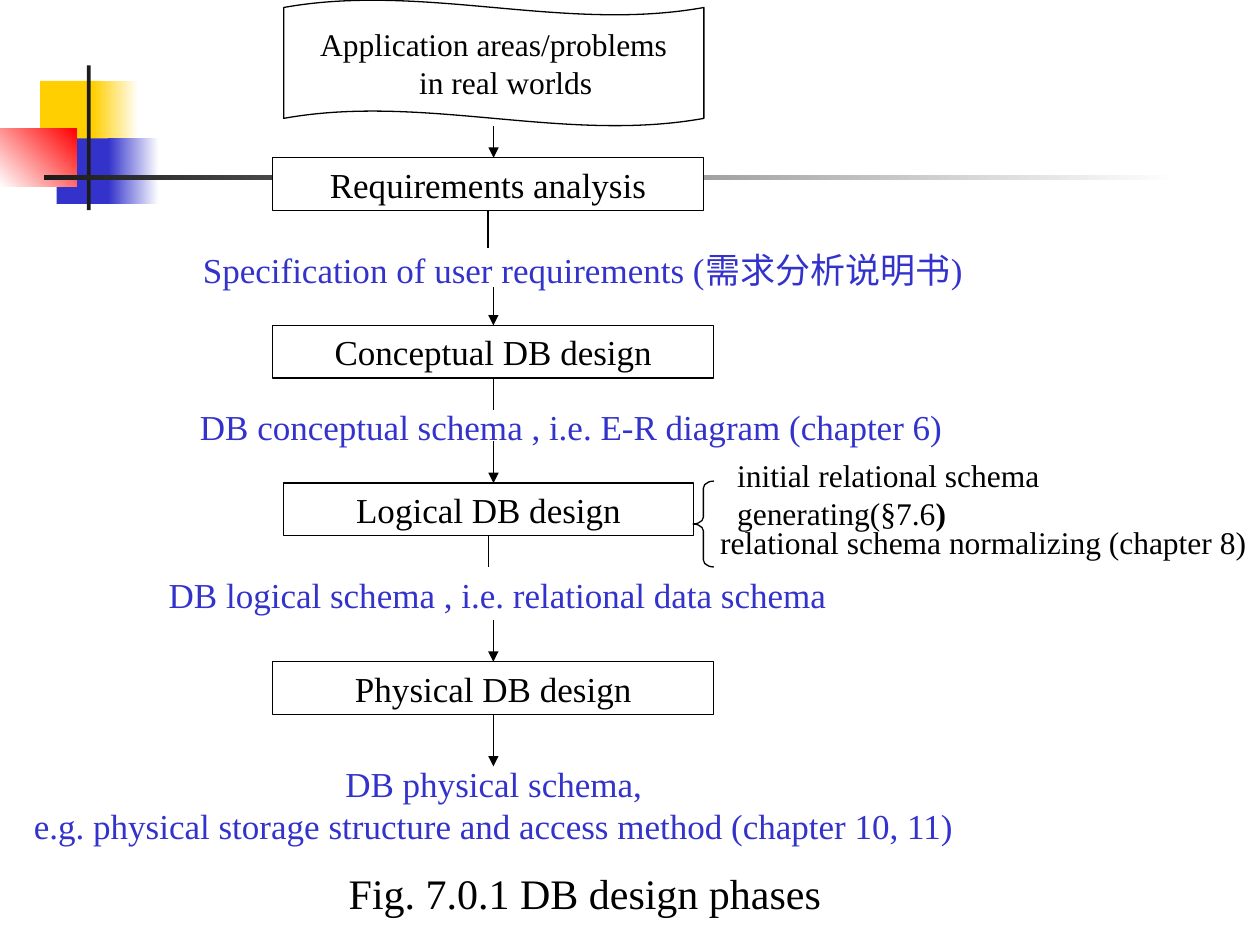
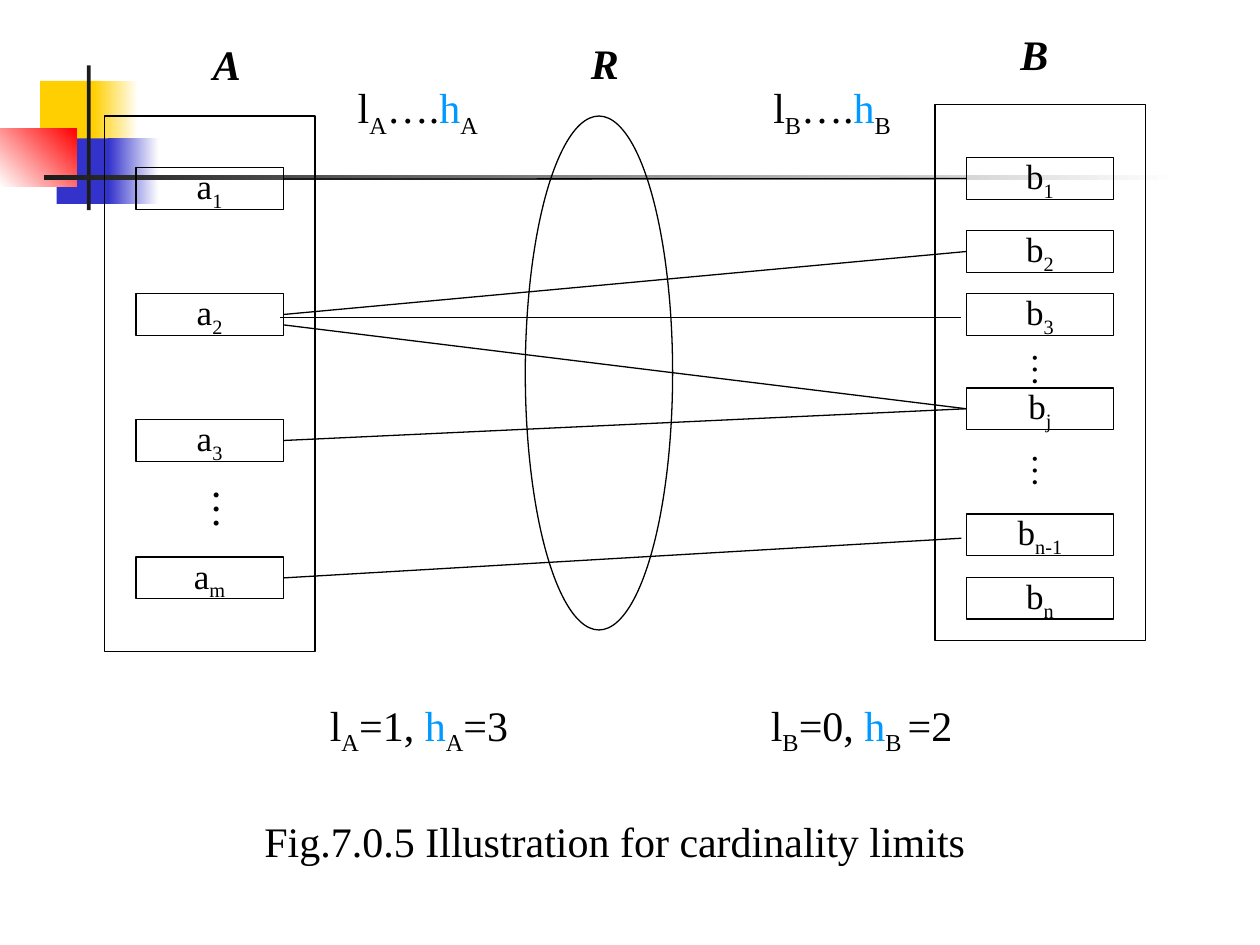
from pptx import Presentation
from pptx.dml.color import RGBColor
from pptx.enum.shapes import MSO_CONNECTOR, MSO_SHAPE
from pptx.enum.text import MSO_ANCHOR, MSO_AUTO_SIZE, PP_ALIGN
from pptx.oxml.ns import qn
from pptx.util import Cm, Pt
from lxml import etree

RECT, OVAL = MSO_SHAPE.RECTANGLE, MSO_SHAPE.OVAL
WAVE, BRACE = MSO_SHAPE.WAVE, MSO_SHAPE.LEFT_BRACE
LEFT, MID = PP_ALIGN.LEFT, PP_ALIGN.CENTER
TOP, CORE = MSO_ANCHOR.TOP, MSO_ANCHOR.MIDDLE
FIT = MSO_AUTO_SIZE.SHAPE_TO_FIT_TEXT
LINE = MSO_CONNECTOR.STRAIGHT

FONT = "Times New Roman"
BLACK, WHITE, BLUE, SKY = "000000", "FFFFFF", "3333CC", "0099FF"
GOLD, RED, INK = "FFCF01", "FF0000", "1C1C1C"
SUB = {"sub": True}
HIGH = {"color": SKY}
HEAD = {"bold": True, "italic": True}

DECOR = [
    ((0.81, 1.63, 1.22, 1.32), [GOLD], 0),
    ((1.88, 1.63, 0.91, 1.32), [GOLD, WHITE], 0),
    ((1.14, 2.79, 1.17, 1.32), [BLUE], 0),
    ((2.18, 2.79, 1.02, 1.32), [BLUE, WHITE], 0),
    ((0, 2.59, 1.55, 1.17), [WHITE, RED], 45),
    ((1.75, 1.32, 0.08, 2.92), [INK], 0),
    ((0.89, 3.53, 22.86, 0.1), [INK, WHITE], 0),
]

AXIS = 9.95
STAGE = 1.06
AREA = (5.72, 0, 8.47, 2.54)
PROBLEM = ["Application areas/problems", "in real worlds"]
STAGES = [
    ("Requirements analysis", 5.5, 3.18, 8.68, 0.64, 0.76),
    ("Conceptual DB design", 5.5, 6.56, 8.89, 0.77, 0.64),
    ("Logical DB design", 5.72, 9.74, 8.26, 0.85, 0.63),
    ("Physical DB design", 5.5, 13.34, 8.89, 0.84, 1.05),
]
RESULTS = [
    (["Specification of user requirements (需求分析说明书)"],
     (3.84, 4.88, 16.6, 1.12), LEFT),
    (["DB conceptual schema , i.e. E-R diagram (chapter 6)"],
     (3.78, 8.05, 15.8, 1.12), LEFT),
    (["DB logical schema , i.e. relational data schema"],
     (3.15, 11.43, 14.1, 1.12), LEFT),
    (["DB physical schema,",
      "e.g. physical storage structure and access method (chapter 10, 11)"],
     (0.33, 15.24, 19.25, 1.96), MID),
]
FORK = (13.97, 9.7, 0.42, 1.73)
STEPS = [
    ([("initial relational schema generating(§7.6", {}), (")", {"bold": True})],
     (14.61, 9.07, 10.9, 1.02)),
    ("relational schema normalizing (chapter 8)", (14.27, 10.41, 11.2, 1.02)),
]
PHASES = ("Fig. 7.0.1 DB design phases", (6.78, 17.37, 10.4, 1.27))

CELL = (2.97, 0.84)
SETS = [
    ("a", (2.11, 2.34, 4.24, 10.8), 2.74,
     {"1": 3.38, "2": 5.92, "3": 8.46, "m": 11.23}),
    ("b", (18.85, 2.11, 4.24, 10.8), 19.48,
     {"1": 3.18, "2": 4.65, "3": 5.92, "j": 7.82, "n-1": 10.36, "n": 11.64}),
]
RING = (10.59, 2.34, 2.97, 10.36)
LINKS = [
    ((5.72, 3.61), "b1"),
    ("a2", "b2"),
    ((5.64, 6.4), (19.38, 6.4)),
    ((5.72, 6.55), "bj"),
    ("a3", "bj"),
    ("am", (19.38, 10.85)),
]
HEADS = [("A", 4.04, 0.66), ("R", 11.66, 0.64), ("B", 20.32, 0.46)]
DOTS = [
    ((20.32, 6.86, 1.35, 0.97), 20),
    ((20.32, 8.89, 1.35, 0.97), 20),
    ((3.78, 9.6, 1.52, 1.12), 24),
]
LIMITS = [
    ("A", "A", "….", "", 6.96, 1.52),
    ("B", "B", "….", "", 15.34, 1.52),
    ("A", "A", "=1, ", "=3", 6.4, 13.97),
    ("B", "B ", "=0, ", "=2", 15.29, 13.97),
]
CARDS = ("Fig.7.0.5 Illustration for cardinality limits", (5.08, 16.31, 15.44, 1.27))


def rgb(code):
    return RGBColor.from_string(code)


def put(item, **vals):
    for name, val in vals.items():
        setattr(item, name, val)


def paint(fill, tones, angle=0):
    if len(tones) == 1:
        fill.solid()
        fill.fore_color.rgb = rgb(tones[0])
        return
    fill.gradient()
    fill.gradient_angle = angle
    for stop, tone, spot in zip(fill.gradient_stops, tones, (0, 1)):
        stop.position = spot
        stop.color.rgb = rgb(tone)


def write(shape, paras, size, color=BLACK, align=MID, anchor=CORE, wrap=True):
    frame = shape.text_frame
    put(frame, word_wrap=wrap, vertical_anchor=anchor)
    for num, runs in enumerate(paras):
        para = frame.add_paragraph() if num else frame.paragraphs[0]
        para.alignment = align
        for text, look in [(runs, {})] if isinstance(runs, str) else runs:
            run = para.add_run()
            run.text = text
            put(run.font, name=FONT, size=Pt(size),
                bold=look.get("bold", False), italic=look.get("italic", False))
            run.font.color.rgb = rgb(look.get("color", color))
            if look.get("sub"):
                run._r.get_or_add_rPr().set("baseline", "-25000")
    return frame


def note(slide, paras, box, size, color=BLACK, align=LEFT, wrap=True):
    shape = slide.shapes.add_textbox(*map(Cm, box))
    write(shape, paras, size, color, align, TOP, wrap)
    return shape


def draw(slide, kind, box, fill=None):
    shape = slide.shapes.add_shape(kind, *map(Cm, box))
    shape.shadow.inherit = False
    if fill:
        paint(shape.fill, [fill])
    else:
        shape.fill.background()
    shape.line.color.rgb = rgb(BLACK)
    shape.line.width = Pt(0.75)
    return shape


def link(slide, start, end, head=None, tail=None, arrow=False):
    line = slide.shapes.add_connector(LINE, *map(Cm, start + end))
    line.line.color.rgb = rgb(BLACK)
    line.line.width = Pt(0.75)
    if head:
        line.begin_connect(*head)
    if tail:
        line.end_connect(*tail)
    if arrow:
        etree.SubElement(line.line._get_or_add_ln(), qn("a:tailEnd"), type="triangle")
    etree.SubElement(line.element.spPr, qn("a:effectLst"))


def adorn(layout, slide):
    tree = layout.shapes.element
    for hold in list(layout.placeholders):
        tree.remove(hold.element)
    for box, tones, angle in DECOR:
        shape = slide.shapes.add_shape(RECT, *map(Cm, box))
        shape.shadow.inherit = False
        shape.line.fill.background()
        paint(shape.fill, tones, angle)
        tree.append(shape.element)


def flow(slide):
    wave = draw(slide, WAVE, AREA)
    wave.adjustments[0] = 0.06
    frame = write(wave, PROBLEM, 18)
    frame.paragraphs[1]._p.get_or_add_pPr().set("marL", str(Cm(0.48)))
    for paras, box, align in RESULTS:
        note(slide, paras, box, 20, BLUE, align)
    for text, left, top, width, rise, drop in STAGES:
        box = draw(slide, RECT, (left, top, width, STAGE), WHITE)
        write(box, [text], 20)
        mid, base = left + width / 2, top + STAGE
        join = (box, 0) if abs(mid - AXIS) < 0.03 else None
        axis = mid if join else AXIS
        link(slide, (axis, top - rise), (axis, top), tail=join, arrow=True)
        link(slide, (mid, base), (mid, base + drop), head=(box, 2),
             arrow=text == STAGES[-1][0])
    fork = draw(slide, BRACE, FORK)
    fork.adjustments[0] = 0.33
    for runs, box in STEPS:
        note(slide, [runs], box, 18)
    note(slide, [PHASES[0]], PHASES[1], 24)


def cards(slide):
    cells = {}
    for name, frame, left, tops in SETS:
        draw(slide, RECT, frame)
        for mark, top in tops.items():
            cell = draw(slide, RECT, (left, top) + CELL)
            write(cell, [[(name, {}), (mark, SUB)]], 20)
            cells[name + mark] = cell
    draw(slide, OVAL, RING)
    for ends in LINKS:
        spots = [(0, 0) if end in cells else end for end in ends]
        joins = [(cells[end], site) if end in cells else None
                 for end, site in zip(ends, (3, 1))]
        link(slide, *spots, *joins)
    for text, left, top in HEADS:
        note(slide, [[(text, HEAD)]], (left, top, 1.3, 1.27), 24)
    for box, size in DOTS:
        dots = note(slide, ["…"], box, size, wrap=False)
        put(dots.text_frame, auto_size=FIT, margin_left=Cm(0.13),
            margin_right=Cm(0.13), margin_top=Cm(0.25), margin_bottom=Cm(0.25))
        dots.element.find(".//" + qn("a:bodyPr")).set("vert", "eaVert")
    for low, top, link_text, end, left, y in LIMITS:
        runs = [("l", {}), (low, SUB), (link_text, {}), ("h", HIGH), (top, SUB)]
        if end:
            runs.append((end, {}))
        note(slide, [runs], (left, y, 4.5 if end else 3.3, 1.42), 24)
    note(slide, [CARDS[0]], CARDS[1], 24)


def main():
    deck = Presentation()
    put(deck, slide_width=Cm(25.4), slide_height=Cm(19.05))
    blank = deck.slide_layouts[6]
    first, second = [deck.slides.add_slide(blank) for _ in range(2)]
    adorn(blank, first)
    flow(first)
    cards(second)
    deck.save("out.pptx")


if __name__ == "__main__":
    main()
